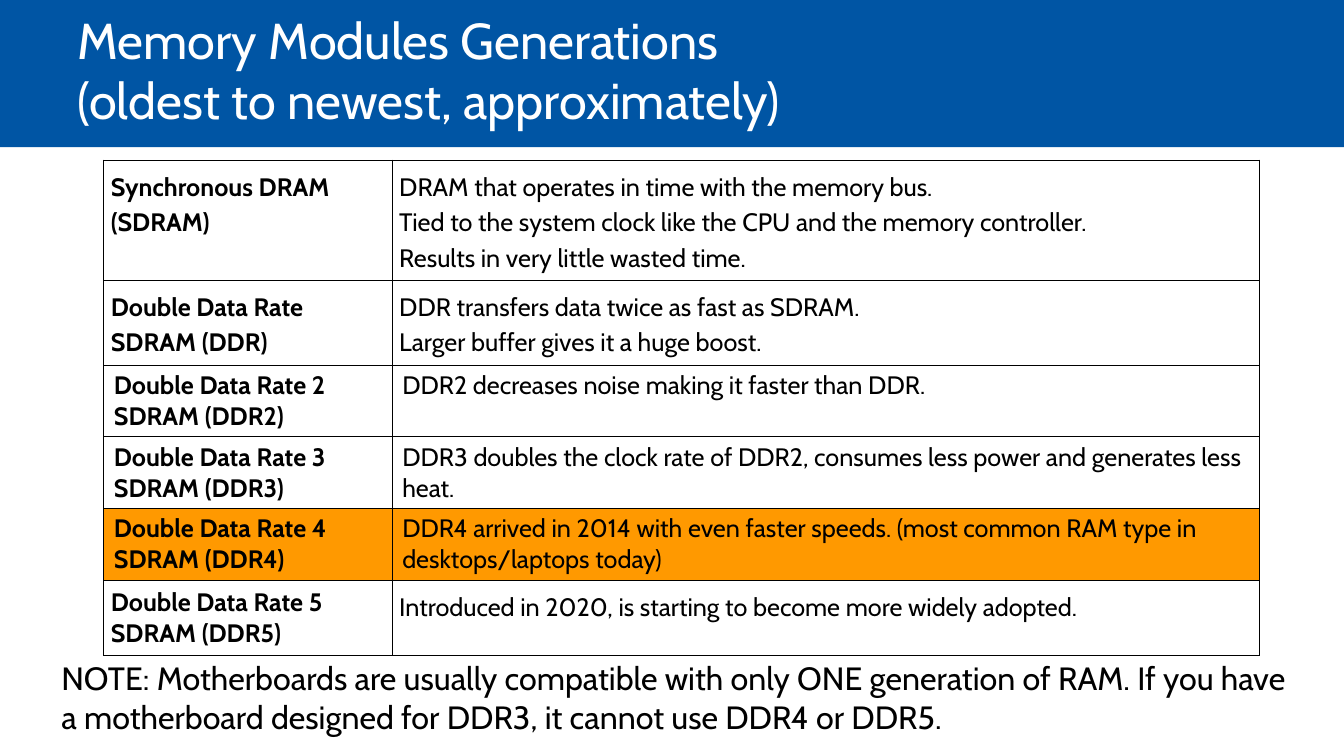
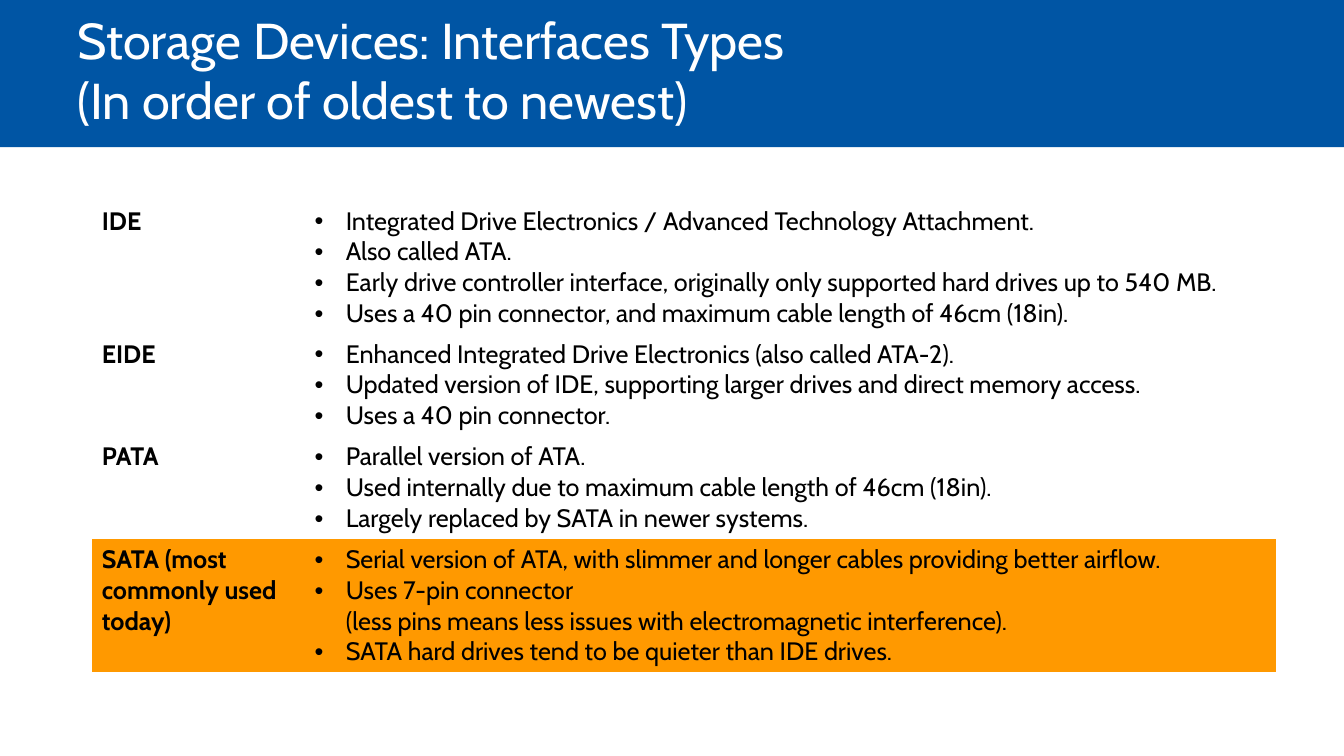
"""Build two slides on memory generations and storage interfaces."""
import dataclasses

import pptx
import pptx.dml.color
import pptx.enum.shapes
import pptx.enum.text
import pptx.oxml
import pptx.oxml.ns
import pptx.util

Inches = pptx.util.Inches
RGB = pptx.dml.color.RGBColor.from_string


@dataclasses.dataclass(frozen=True)
class Theme:
    font: str = "Cabin"
    band: str = "0055A4"
    highlight: str = "FF9900"
    ink: str = "000000"
    paper: str = "FFFFFF"
    title_size: int = 36
    note_size: int = 23
    table_size: int = 18


THEME = Theme()
NO_GRID_STYLE = "{2D5ABB26-0587-4C30-8999-92F81FD0307C}"
LOOSE = (0.07, 0.07)
TIGHT = (0.1, 0.05)


def write(p, text, size, color, bold=False):
    """Add text to a paragraph, breaking lines at each newline."""
    for i, line in enumerate(text.split("\n")):
        if i:
            p.add_line_break()
        r = p.add_run()
        r.text = line
        r.font.name = THEME.font
        r.font.size = pptx.util.Pt(size)
        r.font.bold = bold
        r.font.color.rgb = RGB(color)


def add_xml(parent, xml):
    """Append a DrawingML fragment to an element."""
    tag, rest = xml[1:].split(" ", 1)
    parent.append(pptx.oxml.parse_xml(f"<{tag} {pptx.oxml.ns.nsdecls('a')} {rest}"))


memory_rows = [
    (1.19, "Synchronous DRAM (SDRAM)",
     ["DRAM that operates in time with the memory bus.",
      "Tied to the system clock like the CPU and the memory controller.",
      "Results in very little wasted time."], LOOSE, 1.15, 1.15),
    (0.84, "Double Data Rate SDRAM (DDR)",
     ["DDR transfers data twice as fast as SDRAM.\nLarger buffer gives it a huge boost."],
     LOOSE, 1.15, 1.15),
    (0.71, "Double Data Rate 2 SDRAM (DDR2)",
     ["DDR2 decreases noise making it faster than DDR."], TIGHT, 1.0, 1.0),
    (0.71, "Double Data Rate 3 SDRAM (DDR3)",
     ["DDR3 doubles the clock rate of DDR2, consumes less power and generates less heat."],
     TIGHT, 1.0, 1.0),
    (0.71, "Double Data Rate 4 SDRAM (DDR4)",
     ["DDR4 arrived in 2014 with even faster speeds. "
      "(most common RAM type in desktops/laptops today)"], TIGHT, 1.0, 1.0),
    (0.75, "Double Data Rate 5 SDRAM (DDR5)",
     ["Introduced in 2020, is starting to become more widely adopted."], LOOSE, 1.0, 1.15),
]
storage_rows = [
    (1.32, "IDE",
     ["Integrated Drive Electronics / Advanced Technology Attachment.",
      "Also called ATA.",
      "Early drive controller interface, originally only supported hard drives up to 540 MB.",
      "Uses a 40 pin connector, and maximum cable length of 46cm (18in)."], TIGHT, 1.0, 1.0),
    (1.02, "EIDE",
     ["Enhanced Integrated Drive Electronics (also called ATA-2).",
      "Updated version of IDE, supporting larger drives and direct memory access.",
      "Uses a 40 pin connector."], TIGHT, 1.0, 1.0),
    (1.02, "PATA",
     ["Parallel version of ATA.",
      "Used internally due to maximum cable length of 46cm (18in).",
      "Largely replaced by SATA in newer systems."], TIGHT, 1.0, 1.0),
    (1.32, "SATA (most commonly used today)",
     ["Serial version of ATA, with slimmer and longer cables providing better airflow.",
      "Uses 7-pin connector\n(less pins means less issues with electromagnetic interference).",
      "SATA hard drives tend to be quieter than IDE drives."], TIGHT, 1.0, 1.0),
]
pages = [
    dict(title="Memory Modules Generations\n(oldest to newest, approximately)",
         rows=memory_rows, left=1.03, top=1.59, widths=(2.86, 8.6),
         current=4, bordered=True, bulleted=False),
    dict(title="Storage Devices: Interfaces Types\n(In order of oldest to newest)",
         rows=storage_rows, left=0.91, top=1.99, widths=(2.11, 9.64),
         current=3, bordered=False, bulleted=True),
]

prs = pptx.Presentation()
prs.slide_width, prs.slide_height = Inches(13.33), Inches(7.5)
layout = prs.slide_layouts.get_by_name("Title Only")

for page in pages:
    s = prs.slides.add_slide(layout)
    band = s.shapes.add_shape(
        pptx.enum.shapes.MSO_SHAPE.RECTANGLE, 0, 0, prs.slide_width, Inches(1.46))
    band.shadow.inherit = False
    band.fill.solid()
    band.fill.fore_color.rgb = RGB(THEME.band)
    band.line.fill.background()
    s.shapes.element.insert(2, band.element)

    title = s.shapes.title
    title.left, title.top = Inches(0.67), Inches(0)
    title.width, title.height = Inches(11.75), Inches(1.34)
    tf = title.text_frame
    tf.vertical_anchor = pptx.enum.text.MSO_ANCHOR.BOTTOM
    tf.auto_size = pptx.enum.text.MSO_AUTO_SIZE.NONE
    p = tf.paragraphs[0]
    p.alignment = pptx.enum.text.PP_ALIGN.LEFT
    write(p, page["title"], THEME.title_size, THEME.paper)

    rows, widths = page["rows"], page["widths"]
    frame = s.shapes.add_table(
        len(rows), len(widths), Inches(page["left"]), Inches(page["top"]),
        Inches(sum(widths)), Inches(sum(row[0] for row in rows)))
    table = frame.table
    table.first_row = table.horz_banding = False
    frame.element.find(".//" + pptx.oxml.ns.qn("a:tableStyleId")).text = NO_GRID_STYLE
    for column, width in zip(table.columns, widths):
        column.width = Inches(width)

    for i, (height, label, lines, (mx, my), label_spacing, line_spacing) in enumerate(rows):
        table.rows[i].height = Inches(height)
        columns = [([label], label_spacing), (lines, line_spacing)]
        for j, (texts, spacing) in enumerate(columns):
            cell = table.cell(i, j)
            cell.margin_left = cell.margin_right = Inches(mx)
            cell.margin_top = cell.margin_bottom = Inches(my)
            if page["bordered"]:
                for side in "LRTB":
                    add_xml(cell._tc.get_or_add_tcPr(),
                            f'<a:ln{side} w="12700"><a:solidFill><a:srgbClr val="{THEME.ink}"/>'
                            f'</a:solidFill></a:ln{side}>')
            if i == page["current"]:
                cell.fill.solid()
                cell.fill.fore_color.rgb = RGB(THEME.highlight)
            else:
                cell.fill.background()

            tf = cell.text_frame
            for k, text in enumerate(texts):
                p = tf.add_paragraph() if k else tf.paragraphs[0]
                if page["bulleted"] and j == 1:
                    pPr = p._p.get_or_add_pPr()
                    pPr.set("marL", str(Inches(0.31)))
                    pPr.set("indent", str(-Inches(0.31)))
                    add_xml(pPr, f'<a:buClr ><a:srgbClr val="{THEME.ink}"/></a:buClr>')
                    add_xml(pPr, '<a:buFont typeface="Arial"/>')
                    add_xml(pPr, '<a:buChar char="•"/>')
                p.line_spacing = spacing
                write(p, text, THEME.table_size, THEME.ink, bold=j == 0)

note = prs.slides[0].shapes.add_textbox(Inches(0.51), Inches(6.43), Inches(12.51), Inches(0.98))
tf = note.text_frame
tf.word_wrap = True
tf.margin_left = tf.margin_right = tf.margin_top = tf.margin_bottom = Inches(0.1)
write(tf.paragraphs[0],
      "NOTE: Motherboards are usually compatible with only ONE generation of RAM. "
      "If you have a motherboard designed for DDR3, it cannot use DDR4 or DDR5.",
      THEME.note_size, THEME.ink)

prs.save("out.pptx")
